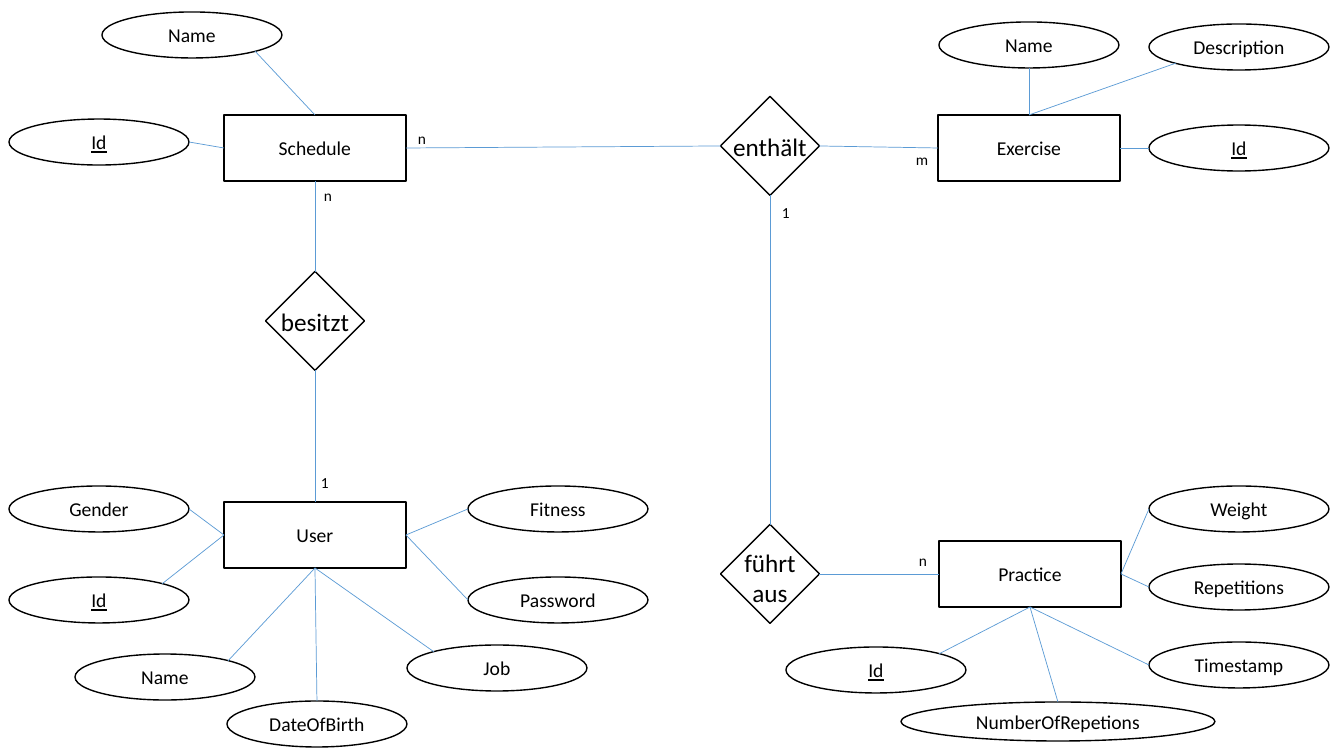
from lxml import etree
from pptx import Presentation
from pptx import util as u
from pptx.dml.color import RGBColor
from pptx.enum import shapes, text
from pptx.oxml.ns import qn

PIXEL = 914400 / 100.8
BLACK = RGBColor(0x00, 0x00, 0x00)
WHITE = RGBColor(0xFF, 0xFF, 0xFF)
BLUE = RGBColor(0x5B, 0x9B, 0xD5)

ENTITY_SIZE = (182, 66)
ATTRIBUTE_SIZE = (180, 46)
WIDE_SIZE = (314, 39)
DIAMOND_SIDE = 70
DIAMOND_SPAN = 98

# Connection points as fractions of a box's width and height
SITES = {
    "top": (0.5, 0), "bottom": (0.5, 1), "left": (0, 0.5), "right": (1, 0.5),
    "top left": (0.15, 0.15), "top right": (0.85, 0.15),
    "bottom left": (0.15, 0.85), "bottom right": (0.85, 0.85),
}

ENTITIES = {
    "Schedule": (224, 115),
    "User": (224, 502),
    "Exercise": (938, 115),
    "Practice": (939, 541),
}

# entity, attribute, left, top, site on the entity, site on the attribute
ATTRIBUTES = [
    ("Schedule", "Id", 9, 119, "left", "right"),
    ("Schedule", "Name", 102, 12, "top", "bottom right"),
    ("User", "Id", 9, 577, "left", "top right"),
    ("User", "Gender", 9, 486, "left", "right"),
    ("User", "Name", 75, 654, "bottom", "top right"),
    ("User", "Password", 468, 577, "right", "left"),
    ("User", "Job", 407, 645, "bottom", "top left"),
    ("User", "Fitness", 468, 486, "right", "left"),
    ("User", "DateOfBirth", 227, 701, "bottom", "top"),
    ("Exercise", "Id", 1149, 125, "right", "left"),
    ("Exercise", "Name", 939, 22, "top", "bottom"),
    ("Exercise", "Description", 1149, 24, "top", "bottom left"),
    ("Practice", "Id", 786, 647, "bottom", "top right"),
    ("Practice", "Repetitions", 1149, 564, "right", "left"),
    ("Practice", "Timestamp", 1149, 642, "bottom", "left"),
    ("Practice", "Weight", 1149, 486, "right", "left"),
    ("Practice", "NumberOfRepetions", 901, 702, "bottom", "top"),
]

# relationship, centre x, centre y, text top, text height
RELATIONSHIPS = [
    ("besitzt", 315, 321, 301, 40),
    ("enthält", 770, 146, 126, 40),
    ("führt aus", 770, 574, 542, 72),
]

LINKS = [
    ("Schedule", "right", "enthält", "left"),
    ("enthält", "right", "Exercise", "left"),
    ("enthält", "bottom", "führt aus", "top"),
    ("Practice", "left", "führt aus", "right"),
    ("Schedule", "bottom", "besitzt", "top"),
    ("User", "top", "besitzt", "bottom"),
]

# cardinality, left, top, width
CARDINALITIES = [
    ("1", 311, 468, 28),
    ("1", 772, 198, 28),
    ("n", 314, 181, 28),
    ("n", 408, 124, 28),
    ("n", 909, 546, 28),
    ("m", 906, 145, 32),
]

presentation = Presentation()
presentation.slide_width = round(1344 * PIXEL)
presentation.slide_height = round(756 * PIXEL)
slide = presentation.slides.add_slide(presentation.slide_layouts[6])


def add_outline(kind, box):
    """Add a white preset shape with a black outline; box is in pixels."""
    shape = slide.shapes.add_shape(kind, *(round(value * PIXEL) for value in box))
    shape.shadow.inherit = False
    shape.fill.solid()
    shape.fill.fore_color.rgb = WHITE
    shape.line.color.rgb = BLACK
    shape.line.width = u.Pt(1)
    return shape


def write(shape, words, size, underline=None, align=text.PP_ALIGN.CENTER, **frame_format):
    """Write one paragraph into a shape and set its text frame's format."""
    for name, value in frame_format.items():
        setattr(shape.text_frame, name, value)
    paragraph = shape.text_frame.paragraphs[0]
    paragraph.alignment = align
    run = paragraph.add_run()
    run.text = words
    font_format = {"name": "Calibri", "size": u.Pt(size), "underline": underline}
    for name, value in font_format.items():
        setattr(run.font, name, value)
    run.font.color.rgb = BLACK


boxes = {}
lines = []
middle = text.MSO_ANCHOR.MIDDLE
grow = text.MSO_AUTO_SIZE.SHAPE_TO_FIT_TEXT

for entity, corner in ENTITIES.items():
    boxes[entity] = (*corner, *ENTITY_SIZE)
    shape = add_outline(shapes.MSO_SHAPE.RECTANGLE, boxes[entity])
    write(shape, entity, 14, vertical_anchor=middle)

for entity, attribute, left, top, entity_site, attribute_site in ATTRIBUTES:
    size = WIDE_SIZE if attribute == "NumberOfRepetions" else ATTRIBUTE_SIZE
    box = (left, top, *size)
    shape = add_outline(shapes.MSO_SHAPE.OVAL, box)
    underline = True if attribute == "Id" else None
    write(shape, attribute, 14, underline, vertical_anchor=middle)
    lines.append((boxes[entity], entity_site, box, attribute_site))

for relationship, x, y, text_top, text_height in RELATIONSHIPS:
    half = DIAMOND_SIDE / 2
    square = (x - half, y - half, DIAMOND_SIDE, DIAMOND_SIDE)
    add_outline(shapes.MSO_SHAPE.RECTANGLE, square).rotation = 45
    left = x - DIAMOND_SPAN / 2
    boxes[relationship] = (left, y - DIAMOND_SPAN / 2, DIAMOND_SPAN, DIAMOND_SPAN)
    label_box = (left, text_top, DIAMOND_SPAN, text_height)
    label = slide.shapes.add_textbox(*(round(value * PIXEL) for value in label_box))
    write(label, relationship, 18, word_wrap=True, auto_size=grow)

for start, start_site, end, end_site in LINKS:
    lines.append((boxes[start], start_site, boxes[end], end_site))

for start_box, start_site, end_box, end_site in lines:
    points = []
    for (left, top, width, height), site in ((start_box, start_site), (end_box, end_site)):
        across, down = SITES[site]
        points += [round((left + across * width) * PIXEL), round((top + down * height) * PIXEL)]
    connector = slide.shapes.add_connector(shapes.MSO_CONNECTOR.STRAIGHT, *points)
    connector.line.color.rgb = BLUE
    connector.line.width = u.Pt(0.5)
    etree.SubElement(connector._element.spPr, qn("a:effectLst"))

for cardinality, left, top, width in CARDINALITIES:
    label = slide.shapes.add_textbox(*(round(value * PIXEL) for value in (left, top, width, 29)))
    write(label, cardinality, 11, align=text.PP_ALIGN.LEFT, word_wrap=False, auto_size=grow)

presentation.save("out.pptx")
